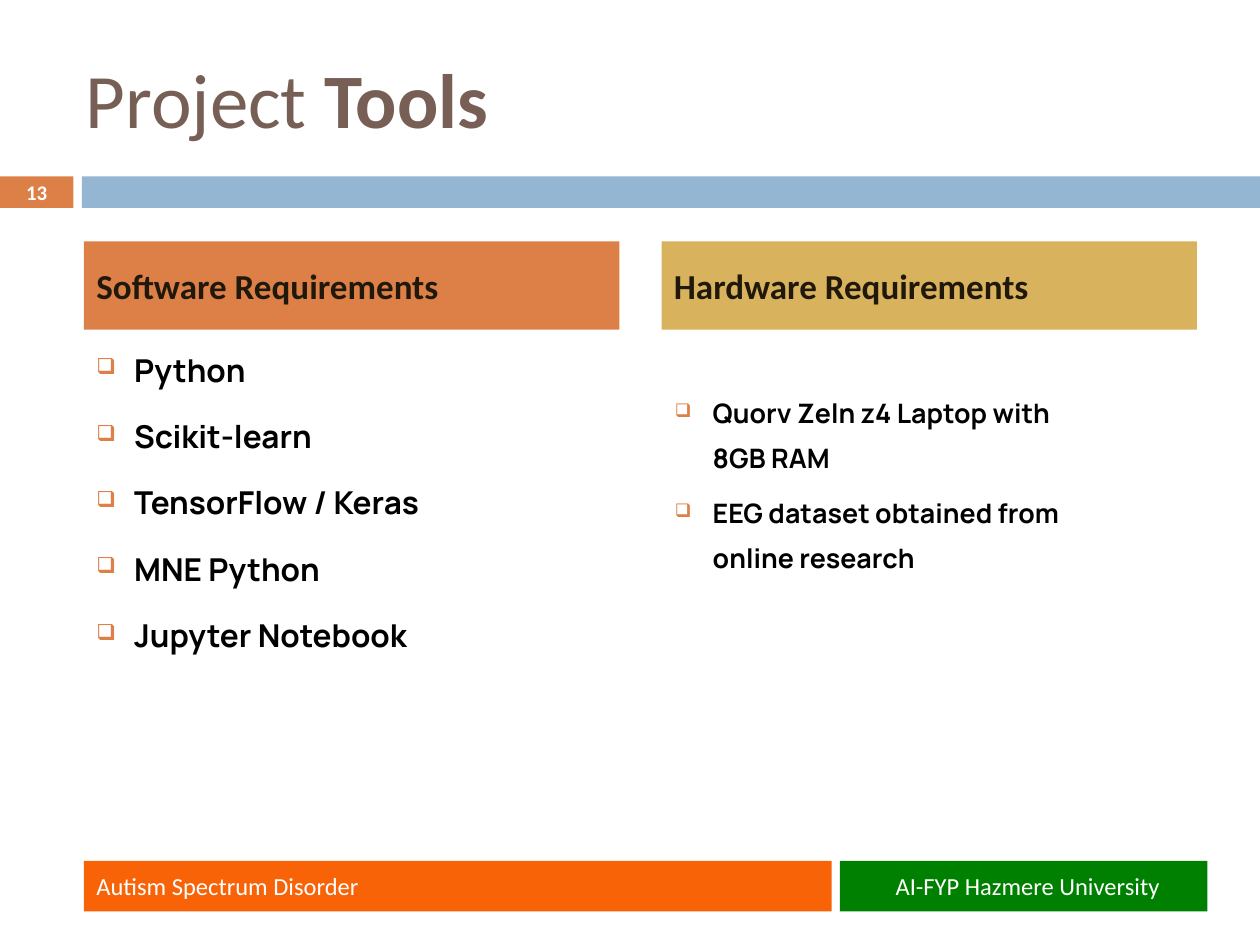
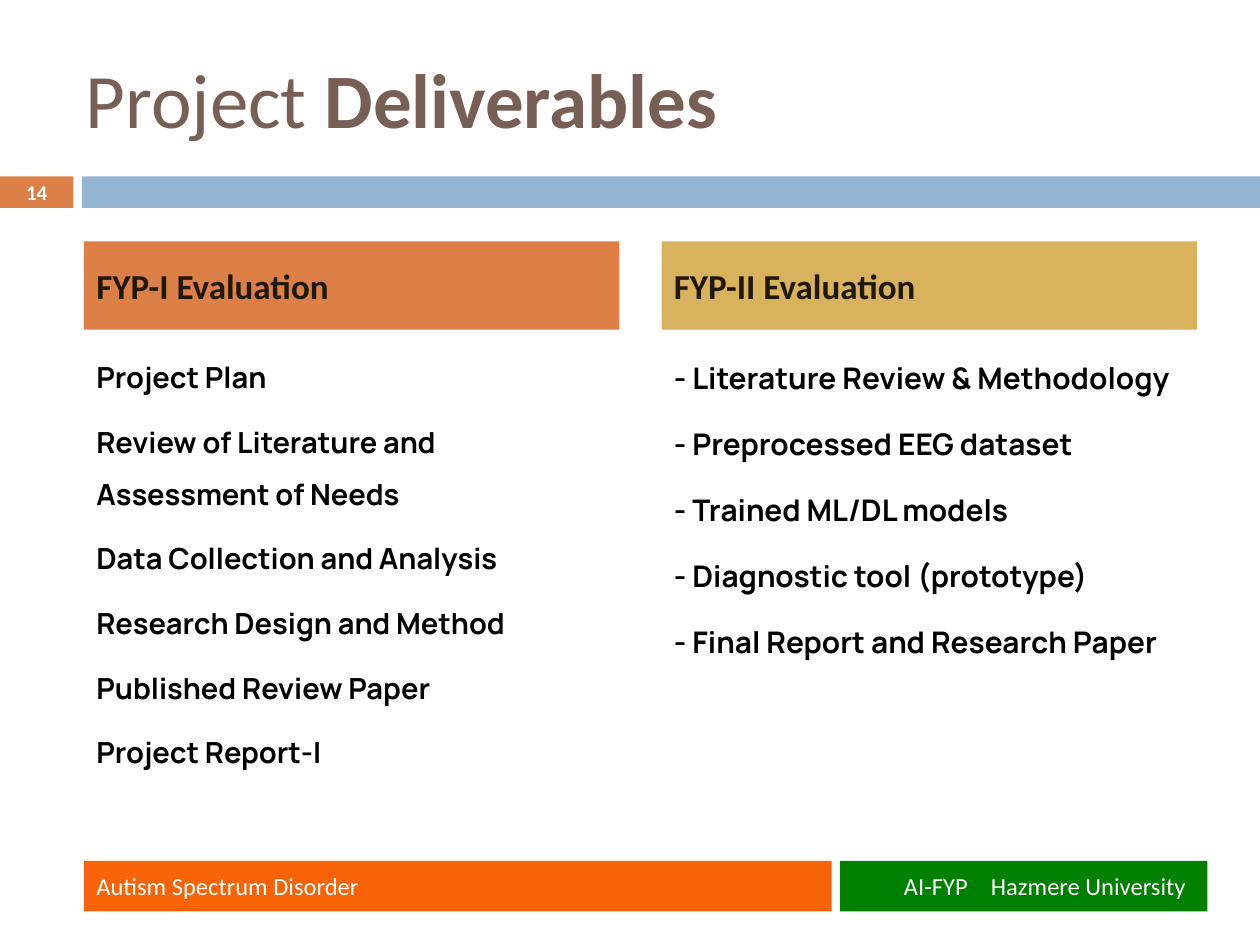
from dataclasses import dataclass

from lxml.etree import SubElement
from pptx import Presentation
from pptx.dml.color import RGBColor
from pptx.enum.shapes import MSO_SHAPE as Shape
from pptx.enum.text import MSO_ANCHOR as Anchor, PP_ALIGN as Align
from pptx.oxml.ns import qn
from pptx.util import Inches, Pt

# Grid: 120 columns by 90 rows on a 10 x 7.5 inch slide
SLIDE_WIDTH, SLIDE_HEIGHT = Inches(10), Inches(7.5)
COLUMN, ROW = SLIDE_WIDTH / 120, SLIDE_HEIGHT / 90

ORANGE = RGBColor(0xDD, 0x80, 0x47)
BLUE = RGBColor(0x94, 0xB6, 0xD2)
GOLD = RGBColor(0xD8, 0xB2, 0x5C)
GREEN = RGBColor(0x00, 0x80, 0x00)
BRIGHT_ORANGE = RGBColor(0xF8, 0x63, 0x08)
BROWN = RGBColor(0x77, 0x5F, 0x55)
DARK = RGBColor(0x20, 0x19, 0x0B)
BLACK = RGBColor(0x00, 0x00, 0x00)
WHITE = RGBColor(0xFF, 0xFF, 0xFF)

HEADING_FONT, BODY_FONT = "Calibri", "Manrope"
TOPIC = "Autism Spectrum Disorder"


@dataclass
class Box:
    """A region in grid columns and rows."""
    left: float
    top: float
    width: float
    height: float

    def inside(self, left, top, width, height):
        return Box(self.left + left, self.top + top, width, height)

    def lengths(self):
        return (round(self.left * COLUMN), round(self.top * ROW),
                round(self.width * COLUMN), round(self.height * ROW))


@dataclass
class BodyText:
    """The lines of a column and how they are set."""
    lines: list
    size: float
    top: float = 9
    height: float = 47
    line_spacing: float = 1.5
    space_before: float = 7
    bullet_indent: float = 0


TITLE_BOX = Box(7, 3.6, 107, 11.4)
BAND_BOX = Box(0, 16.8, 120, 3)
COLUMN_BOXES = [Box(left, 23, 51, 56) for left in (8, 63)]
FOOTER_BOX = Box(8, 82, 107, 4.8)


def style_runs(paragraph, size, color, font=HEADING_FONT, bold=False):
    for run in paragraph.runs:
        run.font.size = Pt(size)
        run.font.name = font
        run.font.bold = bold
        run.font.color.rgb = color


def add_bar(slide, box, color, text="", size=14, text_color=WHITE, bold=False):
    """Add a filled rectangle with one line of left-aligned text."""
    bar = slide.shapes.add_shape(Shape.RECTANGLE, *box.lengths())
    bar.shadow.inherit = False
    bar.fill.solid()
    bar.fill.fore_color.rgb = color
    bar.line.fill.background()
    bar.text_frame.text = text
    bar.text_frame.vertical_anchor = Anchor.MIDDLE
    paragraph = bar.text_frame.paragraphs[0]
    paragraph.alignment = Align.LEFT
    style_runs(paragraph, size, text_color, bold=bold)
    return bar


def add_text_frame(slide, box):
    text_frame = slide.shapes.add_textbox(*box.lengths()).text_frame
    text_frame.word_wrap = True
    return text_frame


def add_bullet(paragraph, indent):
    """Hang a small orange square in front of the paragraph."""
    properties = paragraph._p.get_or_add_pPr()
    properties.set("marL", str(round(indent * COLUMN)))
    properties.set("indent", str(-Inches(0.3)))
    color = SubElement(properties, qn("a:buClr"))
    SubElement(color, qn("a:srgbClr"), val=str(ORANGE))
    SubElement(properties, qn("a:buSzPct"), val="70000")
    SubElement(properties, qn("a:buChar"), char="❑")


def add_title(slide, box, word):
    text_frame = add_text_frame(slide, box)
    text_frame.vertical_anchor = Anchor.MIDDLE
    paragraph = text_frame.paragraphs[0]
    for text in ("Project ", word):
        paragraph.add_run().text = text
    style_runs(paragraph, 44, BROWN)
    paragraph.runs[-1].font.bold = True


def add_band(slide, box, number):
    number_bar = add_bar(slide, box.inside(0, 0, 7, box.height), ORANGE,
                         str(number), 11.9, bold=True)
    number_bar.text_frame.paragraphs[0].alignment = Align.CENTER
    add_bar(slide, box.inside(7.8, 0, box.width - 7.8, box.height), BLUE)


def add_column(slide, box, color, heading, body):
    # Heading bar
    bar = add_bar(slide, box.inside(0, 0, box.width, 8.4), color,
                  heading, 20, DARK, bold=True)
    bar.text_frame.paragraphs[0].space_before = Pt(7)

    # Lines below it
    text_frame = add_text_frame(
        slide, box.inside(0, body.top, box.width, body.height))
    text_frame.text = "\n".join(body.lines)
    for paragraph in text_frame.paragraphs:
        paragraph.line_spacing = body.line_spacing
        paragraph.space_before = Pt(body.space_before)
        style_runs(paragraph, body.size, BLACK, BODY_FONT, bold=True)
        if body.bullet_indent:
            add_bullet(paragraph, body.bullet_indent)


def add_footer(slide, box, school, inset):
    add_bar(slide, box.inside(0, 0, 71.2, box.height), BRIGHT_ORANGE, TOPIC)
    school_bar = add_bar(slide, box.inside(72, 0, 35, box.height), GREEN, school)
    school_bar.text_frame.margin_left = round(inset * COLUMN)
    school_bar.text_frame.margin_right = 0
    if "\t" in school:
        properties = school_bar.text_frame.paragraphs[0]._p.get_or_add_pPr()
        tabs = SubElement(properties, qn("a:tabLst"))
        SubElement(tabs, qn("a:tab"), pos=str(Inches(0.69)), algn="l")


def add_two_column_slide(presentation, number, word, columns, school, inset):
    slide = presentation.slides.add_slide(presentation.slide_layouts[6])
    add_band(slide, BAND_BOX, number)
    add_title(slide, TITLE_BOX, word)
    for box, color, (heading, body) in zip(COLUMN_BOXES, (ORANGE, GOLD), columns):
        add_column(slide, box, color, heading, body)
    add_footer(slide, FOOTER_BOX, school, inset)


def main():
    presentation = Presentation()
    presentation.slide_width, presentation.slide_height = SLIDE_WIDTH, SLIDE_HEIGHT

    # Tools
    software = BodyText(
        ["Python", "Scikit-learn", "TensorFlow / Keras", "MNE Python",
         "Jupyter Notebook"],
        size=18, top=8, space_before=5.5, bullet_indent=3.6)
    hardware = BodyText(
        ["Quorv Zeln z4 Laptop with\v8GB RAM",
         "EEG dataset obtained from\vonline research"],
        size=15.3, top=13, height=19, line_spacing=1.4, space_before=5.5,
        bullet_indent=3.7)
    add_two_column_slide(
        presentation, 13, "Tools",
        [("Software Requirements", software), ("Hardware Requirements", hardware)],
        "AI-FYP Hazmere University", inset=5.3)

    # Deliverables
    first_evaluation = BodyText(
        ["Project Plan", "Review of Literature and Assessment of Needs",
         "Data Collection and Analysis", "Research Design and Method",
         "Published Review Paper", "Project Report-I"],
        size=16.6)
    second_evaluation = BodyText(
        ["- Literature Review & Methodology", "- Preprocessed EEG dataset",
         "- Trained ML/DL models", "- Diagnostic tool (prototype)",
         "- Final Report and Research Paper"],
        size=17)
    add_two_column_slide(
        presentation, 14, "Deliverables",
        [("FYP-I Evaluation", first_evaluation),
         ("FYP-II Evaluation", second_evaluation)],
        "AI-FYP\tHazmere University", inset=6.1)

    presentation.save("out.pptx")


if __name__ == "__main__":
    main()
